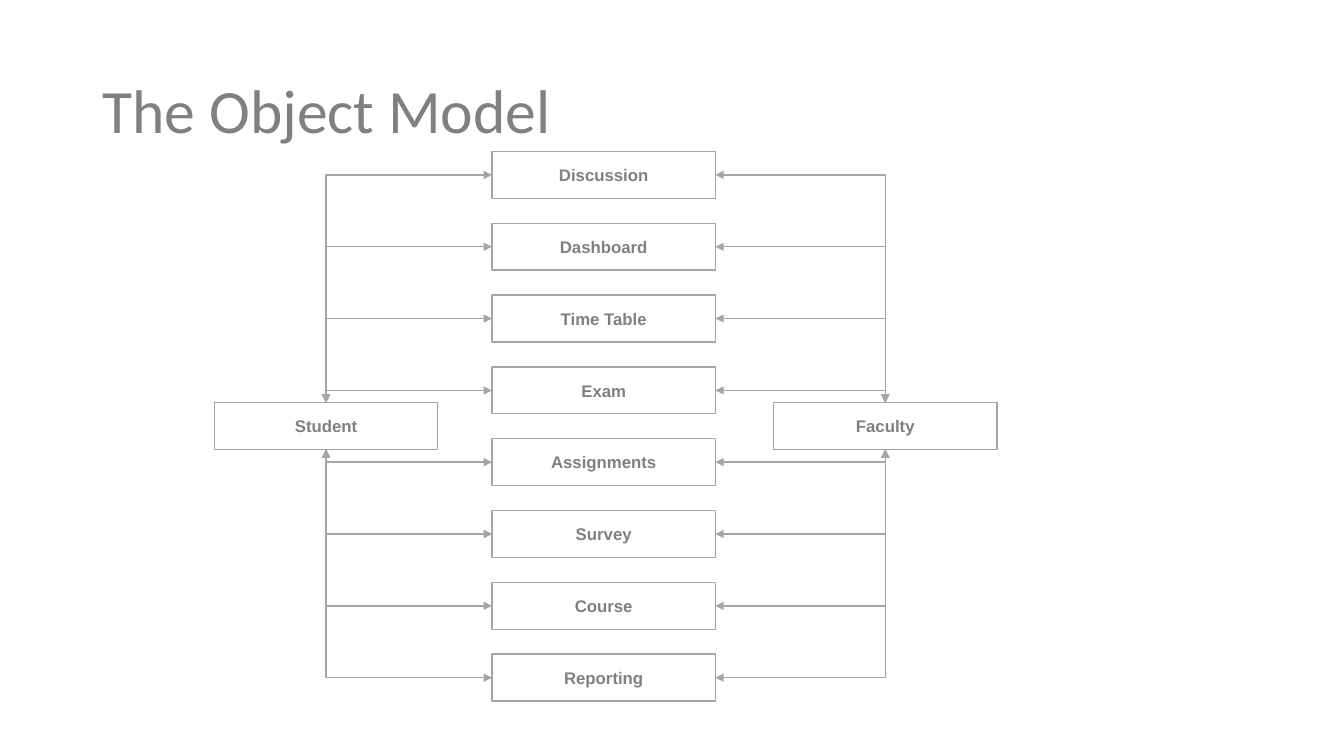
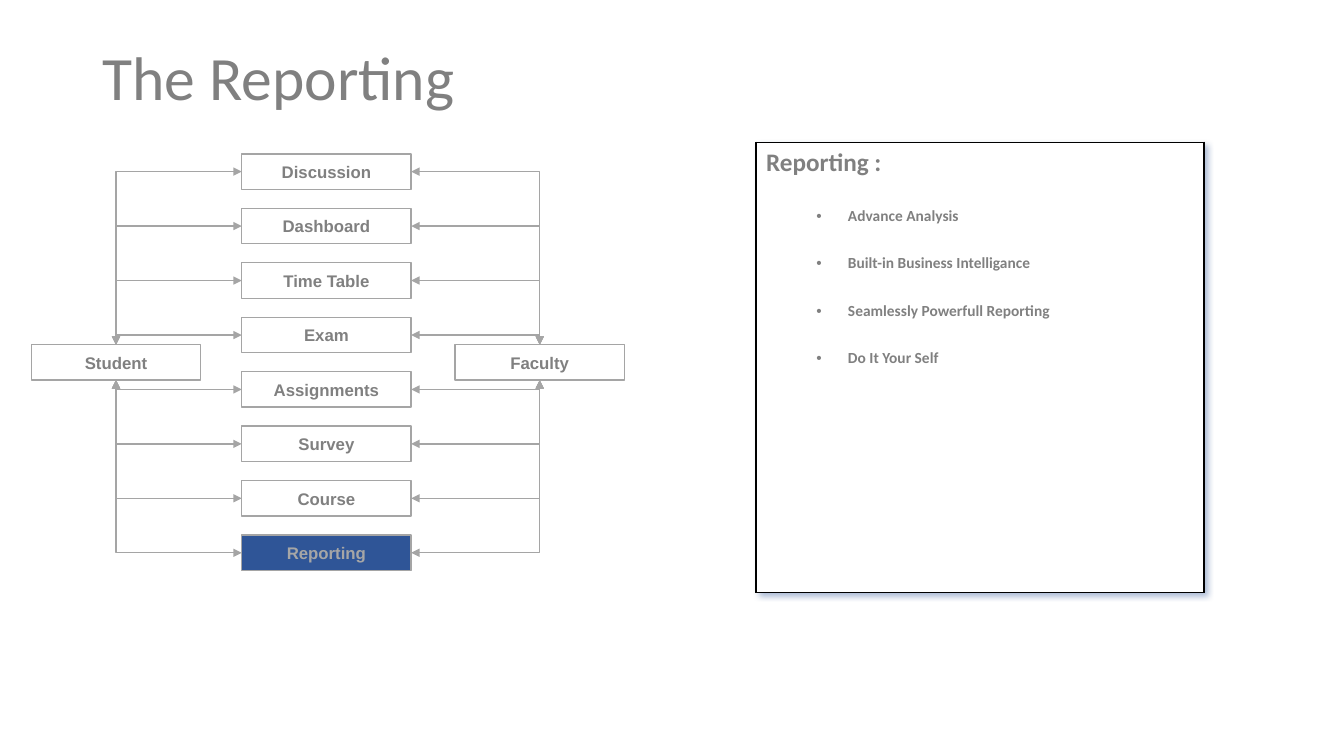
from lxml.etree import SubElement as Sub, Element
from pptx import Presentation
from pptx.dml.color import RGBColor
from pptx.enum.shapes import MSO_CONNECTOR as Link, MSO_SHAPE as Kind
from pptx.enum.text import MSO_ANCHOR as Anchor, MSO_AUTO_SIZE as Fit, PP_ALIGN as Align
from pptx.oxml.ns import qn
from pptx.util import Pt

# Palette
GRAY = RGBColor(0x80, 0x80, 0x80)
EDGE = RGBColor(0xA5, 0xA5, 0xA5)
PALE = RGBColor(0xA6, 0xA6, 0xA6)
WHITE = RGBColor(0xFF, 0xFF, 0xFF)
BLACK = RGBColor(0x00, 0x00, 0x00)
BLUE = RGBColor(0x2F, 0x55, 0x97)

# Connection sites of a rectangle
TOP, LEFT, BOTTOM, RIGHT = range(4)

TOPICS = ["Discussion", "Dashboard", "Time Table", "Exam",
          "Assignments", "Survey", "Course", "Reporting"]
POINTS = ["Advance Analysis", "Built-in Business Intelligance",
          "Seamlessly Powerfull Reporting", "Do It Your Self"]


def write(par, text, size=12, font="Calibri", color=GRAY, bold=False,
          align=Align.LEFT, space=None):
    run = par.add_run()
    run.text = text
    run.font.size = Pt(size)
    run.font.name = font
    run.font.bold = bold
    run.font.color.rgb = color
    par.alignment = align
    if space:
        par.line_spacing = space


def paint(parent, color, alpha=None):
    """Add an sRGB colour to an XML element."""
    tint = Sub(parent, qn("a:srgbClr"), val=str(color))
    if alpha:
        Sub(tint, qn("a:alpha"), val=str(alpha * 1000))


class Deck:
    def __init__(self):
        self.prs = Presentation()
        self.prs.slide_width, self.prs.slide_height = Pt(960), Pt(540)

    def page(self, title, *box):
        self.slide = self.prs.slides.add_slide(self.prs.slide_layouts[5])
        self.shapes = self.slide.shapes
        head = self.shapes.title
        head.left, head.top, head.width, head.height = map(Pt, box)
        frame = head.text_frame
        frame.auto_size = Fit.NONE
        frame.word_wrap = True
        frame.vertical_anchor = Anchor.MIDDLE
        write(frame.paragraphs[0], title, size=44, space=0.9)

    def box(self, text, x, y, w, h, fill=WHITE, color=GRAY):
        rect = self.shapes.add_shape(Kind.RECTANGLE, Pt(x), Pt(y), Pt(w), Pt(h))
        rect.shadow.inherit = False
        rect.fill.solid()
        rect.fill.fore_color.rgb = fill
        rect.line.color.rgb = EDGE
        rect.line.width = Pt(1)
        rect.text_frame.vertical_anchor = Anchor.MIDDLE
        write(rect.text_frame.paragraphs[0], text, font="Arial", color=color,
              bold=True, align=Align.CENTER)
        return rect

    def link(self, start, out, end, into):
        """Join two boxes by a one-bend line with arrowheads at both ends."""
        line = self.shapes.add_connector(Link.ELBOW, 0, 0, 0, 0)
        line.begin_connect(start, out)
        line.end_connect(end, into)
        line.line.color.rgb = EDGE
        line.line.width = Pt(1)
        props = line._element.spPr
        props.find(qn("a:prstGeom")).set("prst", "bentConnector2")
        for tip in ("a:headEnd", "a:tailEnd"):
            Sub(props.find(qn("a:ln")), qn(tip), type="triangle")
        Sub(props, qn("a:effectLst"))

    def model(self, x, y, w, h, step, side, level, focus=None):
        """Topic column with an actor on each side, linked to every topic."""
        left, right = side
        student = self.box("Student", left, level, w, h)
        faculty = self.box("Faculty", right, level, w, h)
        for i, name in enumerate(TOPICS):
            look = {"fill": BLUE, "color": PALE} if name == focus else {}
            topic = self.box(name, x, y + i * step, w, h, **look)
            into = TOP if i < len(TOPICS) / 2 else BOTTOM
            self.link(topic, LEFT, student, into)
            self.link(topic, RIGHT, faculty, into)

    def panel(self, head, points, x, y, w, h):
        """One-cell table with a heading, bullets and a soft shadow."""
        table = self.shapes.add_table(1, 1, Pt(x), Pt(y), Pt(w), Pt(h)).table
        table.first_row = table.horz_banding = False
        cell = table.cell(0, 0)
        cell.fill.solid()
        cell.fill.fore_color.rgb = WHITE
        props = cell._tc.get_or_add_tcPr()
        for i, tag in enumerate(("a:lnL", "a:lnR", "a:lnT", "a:lnB")):
            edge = Element(qn(tag), w=str(Pt(1)))
            paint(Sub(edge, qn("a:solidFill")), BLACK)
            props.insert(i, edge)

        effect = Element(qn("a:effectLst"))
        shade = Sub(effect, qn("a:outerShdw"), blurRad=str(Pt(4)),
                    dist=str(Pt(3)), dir="2700000", algn="tl", rotWithShape="0")
        paint(shade, BLUE, alpha=40)
        table._tbl.tblPr.insert(0, effect)

        frame = cell.text_frame
        write(frame.paragraphs[0], head, size=18, bold=True)
        for point in points:
            par = frame.add_paragraph()
            par.level = 1
            write(par, point, size=11, bold=True, space=2.5)
            form = par._p.get_or_add_pPr()
            form.set("marL", str(Pt(58.5)))
            form.set("indent", str(Pt(-22.5)))
            Sub(form, qn("a:buFont"), typeface="Arial")
            Sub(form, qn("a:buChar"), char="•")


deck = Deck()

# Slide 1: the whole model
deck.page("The Object Model", 66, 28.8, 828, 104.4)
deck.model(351.5, 108.2, 159.5, 33.5, step=51.3, side=(153.2, 552.6), level=287.6)

# Slide 2: the model with reporting picked out
deck.page("The Reporting", 66, 28.8, 459.4, 57.6)
deck.model(172.7, 109.9, 121, 25.4, step=38.9, side=(22.4, 325), level=246.2,
           focus="Reporting")
deck.panel("Reporting :", POINTS, 540, 101.5, 320, 321.5)

deck.prs.save("out.pptx")
